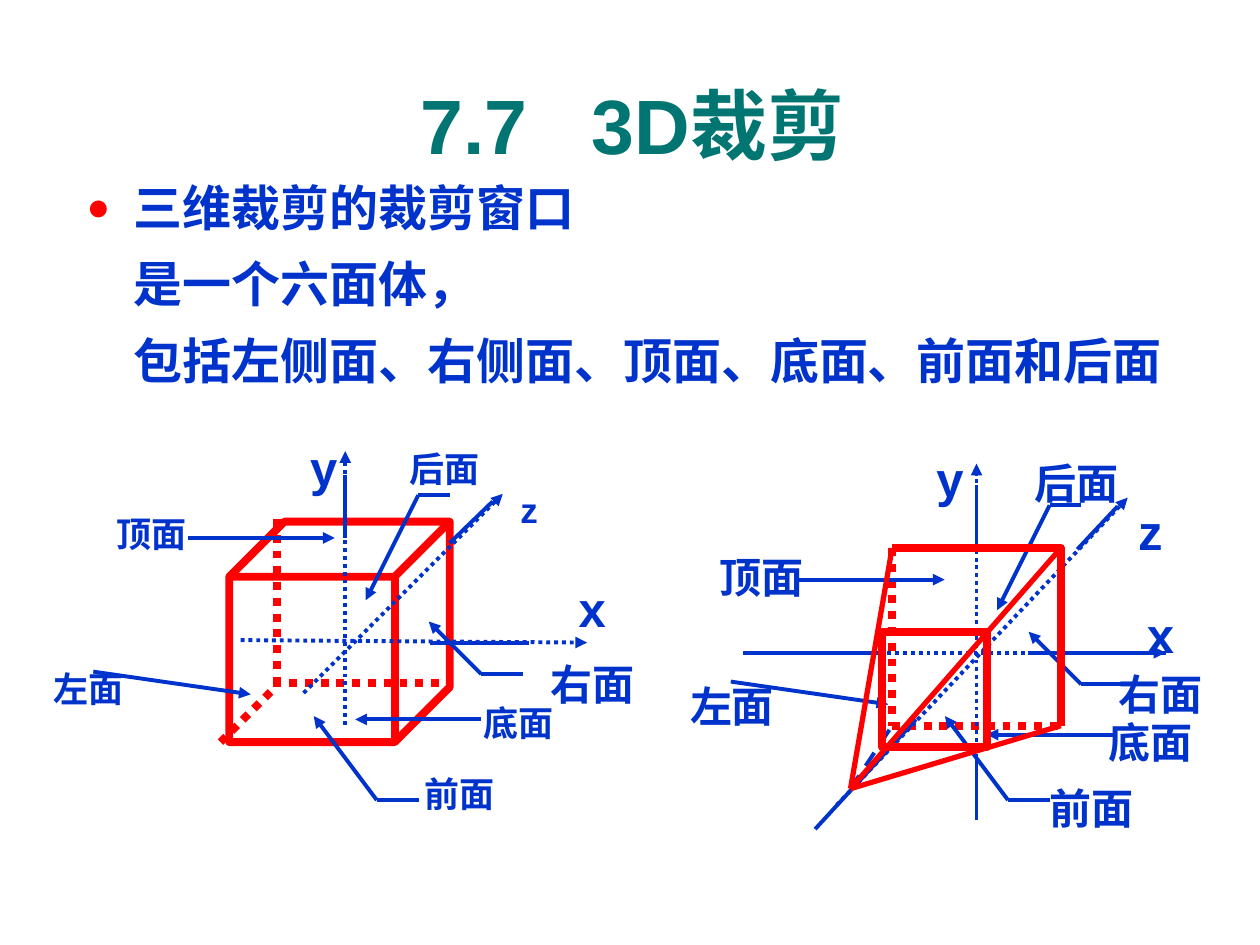
from lxml.etree import SubElement
from pptx import Presentation
from pptx.dml.color import RGBColor
from pptx.enum.dml import MSO_LINE
from pptx.enum.shapes import MSO_CONNECTOR, MSO_SHAPE
from pptx.enum.text import MSO_ANCHOR, MSO_AUTO_SIZE, PP_ALIGN
from pptx.oxml.ns import qn
from pptx.util import Pt

BLUE = RGBColor(0x00, 0x33, 0xCC)
RED = RGBColor(0xFF, 0x00, 0x00)
TEAL = RGBColor(0x00, 0x75, 0x72)
ARIAL = "Arial"
CJK = "Noto Sans CJK SC"
DOTTED = MSO_LINE.ROUND_DOT
HEADING = ["7.7", " ", "3D裁剪"]
HEADING_GAP = 24.5
STATEMENT = [
    "三维裁剪的裁剪窗口",
    "是一个六面体，",
    "包括左侧面、右侧面、顶面、底面、前面和后面",
]


def style_run(run, size, color, face=ARIAL):
    run.font.size = Pt(size)
    run.font.bold = True
    run.font.color.rgb = color
    run.font.name = face
    SubElement(run.font._element, qn("a:ea"), typeface=face)


def add_text_frame(shapes, left, top, width, height):
    frame = shapes.add_textbox(Pt(left), Pt(top), Pt(width), Pt(height)).text_frame
    frame.word_wrap = True
    return frame


def add_heading(shapes):
    frame = add_text_frame(shapes, 25.2, 41, 672.5, 59.8)
    frame.vertical_anchor = MSO_ANCHOR.MIDDLE
    paragraph = frame.paragraphs[0]
    paragraph.alignment = PP_ALIGN.CENTER
    for part in HEADING:
        run = paragraph.add_run()
        run.text = part
        style_run(run, 44, TEAL)
        if part == " ":
            run.font._element.set("spc", str(int(HEADING_GAP * 100)))


def add_bullet(properties):
    color = SubElement(properties, qn("a:buClr"))
    SubElement(color, qn("a:srgbClr"), val=str(RED))
    SubElement(properties, qn("a:buSzPct"), val="80000")
    SubElement(properties, qn("a:buFont"), typeface=ARIAL)
    SubElement(properties, qn("a:buChar"), char="●")


def add_statement(shapes):
    frame = add_text_frame(shapes, 42.5, 94.3, 640.8, 132.5)
    frame.text = "\n".join(STATEMENT)
    for index, paragraph in enumerate(frame.paragraphs):
        properties = paragraph._p.get_or_add_pPr()
        properties.set("marL", str(Pt(27)))
        if index == 0:
            properties.set("indent", str(Pt(-27)))
            add_bullet(properties)
        else:
            properties.set("indent", "0")
            paragraph.space_before = Pt(7)
        paragraph.line_spacing = 1.1
        style_run(paragraph.runs[0], 28, BLUE)


def add_label(shapes, text, center, top, size, face=ARIAL, width=66):
    frame = add_text_frame(shapes, center - width / 2, top, width, size * 1.2 + 7.2)
    frame.auto_size = MSO_AUTO_SIZE.SHAPE_TO_FIT_TEXT
    frame.text = text
    frame.paragraphs[0].alignment = PP_ALIGN.CENTER
    style_run(frame.paragraphs[0].runs[0], size, BLUE, face)


def add_line(shapes, start, end, color=BLUE, weight=2.25, dash=None, arrow=False):
    line = shapes.add_connector(
        MSO_CONNECTOR.STRAIGHT, *(Pt(value) for value in (*start, *end))
    )
    line.line.color.rgb = color
    line.line.width = Pt(weight)
    if dash:
        line.line.dash_style = dash
    if arrow:
        SubElement(line.line._get_or_add_ln(), qn("a:tailEnd"), type="triangle")
    SubElement(line._element.spPr, qn("a:effectLst"))


def add_axes(shapes, axes, solid_parts):
    for start, end in axes:
        add_line(shapes, start, end, dash=DOTTED, arrow=True)
    for start, end in solid_parts:
        add_line(shapes, start, end)


def add_hidden_edges(shapes, edges):
    for start, end in edges:
        add_line(shapes, start, end, RED, 4.5, DOTTED)


def outline(shape):
    shape.shadow.inherit = False
    shape.fill.background()
    shape.line.color.rgb = RED
    shape.line.width = Pt(4.5)


def add_outline(shapes, preset, left, top, width, height):
    outline(shapes.add_shape(preset, Pt(left), Pt(top), Pt(width), Pt(height)))


def add_callouts(shapes, left, front, bottom, right, top, back):
    callouts = [
        (left, (90, 13), 0),
        (front, (-36, -48), 24),
        (bottom, (-72, 0), 0),
        (right, (-30, -30), 24),
        (top, (84, 0), 0),
        (back, (-30, 60), 18),
    ]
    for (x, y), (dx, dy), shelf in callouts:
        add_line(shapes, (x, y), (x + dx, y + dy), arrow=True)
        if shelf:
            add_line(shapes, (x, y), (x + shelf, y))


def add_parallel_window(shapes):
    add_hidden_edges(shapes, [
        ((158.4, 296.6), (158.4, 390.2)),
        ((126, 424.1), (156.2, 393.8)),
        ((156.2, 390.2), (252, 390.2)),
    ])
    add_outline(shapes, MSO_SHAPE.CUBE, 131, 298.1, 126, 126)
    add_axes(
        shapes,
        [((137.5, 365.8), (335.5, 367.2)), ((197.3, 414), (197.3, 257.8)),
         ((173.5, 396), (287.3, 282.2))],
        [((197.3, 307.4), (197.3, 271.4)), ((257, 310.3), (281.5, 286.6)),
         ((245.5, 367.2), (302.4, 367.2))],
    )
    add_callouts(shapes, left=(53.3, 383.8), front=(215.3, 457.2),
                 bottom=(275, 411.1), right=(275, 385.2),
                 top=(107.3, 307.4), back=(239, 283))
    for text, center, top in [
        ("顶面", 86.4, 289.4), ("左面", 50.4, 378), ("后面", 254.2, 252),
        ("前面", 262.8, 437.8), ("底面", 296.6, 397.4),
    ]:
        add_label(shapes, text, center, top, 20, CJK)
    add_label(shapes, "右面", 338.4, 373, 24)
    add_label(shapes, "x", 338.4, 326.9, 28)
    add_label(shapes, "y", 185, 246.2, 28, width=36)
    add_label(shapes, "z", 302.4, 275.8, 20)


def add_perspective_window(shapes):
    eye = (486, 450.7)
    far_top_left, far_top_right = (509.8, 313.2), (606.2, 313.2)
    far_bottom_left, far_bottom_right = (509.8, 414.7), (606.2, 414.7)
    add_hidden_edges(shapes, [
        (far_top_left, far_bottom_left),
        (far_bottom_left, far_bottom_right),
    ])
    add_line(shapes, eye, far_bottom_left, dash=MSO_LINE.DASH)
    add_axes(
        shapes,
        [((480.2, 373), (666, 373)), ((558, 468.7), (558, 265)),
         ((478.1, 460.1), (644.4, 284.4))],
        [((558, 313.2), (558, 277.2)), ((588.2, 373), (666, 373)),
         ((558, 468.7), (558, 432.7)), ((615.6, 313.9), (638.6, 289.4)),
         ((465.8, 473.8), (523.4, 411.1)), ((424.8, 373), (502.6, 373))],
    )
    add_callouts(shapes, left=(417.6, 389.5), front=(576, 457.2),
                 bottom=(635.8, 419.8), right=(617.8, 391),
                 top=(455.8, 331.2), back=(599.8, 288.7))
    for text, center, top in [
        ("顶面", 434.9, 311.8), ("左面", 418.3, 385.2), ("后面", 614.9, 257.8),
        ("右面", 663.1, 378.7), ("前面", 623.5, 443.5), ("底面", 657.4, 406.1),
    ]:
        add_label(shapes, text, center, top, 24)
    far_edges = shapes.build_freeform(*(Pt(value) for value in far_top_left))
    far_edges.add_line_segments(
        [(Pt(x), Pt(y)) for x, y in (far_top_right, far_bottom_right)], close=False
    )
    outline(far_edges.convert_to_shape())
    for corner in (far_top_left, far_top_right, far_bottom_right):
        add_line(shapes, corner, eye, RED, 3)
    add_outline(shapes, MSO_SHAPE.RECTANGLE, 504, 361, 60, 66)
    for text, center, top in [("y", 542.9, 252.7), ("x", 663.1, 342), ("z", 657.4, 283)]:
        add_label(shapes, text, center, top, 28)


def main():
    deck = Presentation()
    deck.slide_width, deck.slide_height = Pt(720), Pt(540)
    shapes = deck.slides.add_slide(deck.slide_layouts[6]).shapes
    add_statement(shapes)
    add_parallel_window(shapes.add_group_shape().shapes)
    add_perspective_window(shapes.add_group_shape().shapes)
    add_heading(shapes)
    deck.save("out.pptx")


if __name__ == "__main__":
    main()
